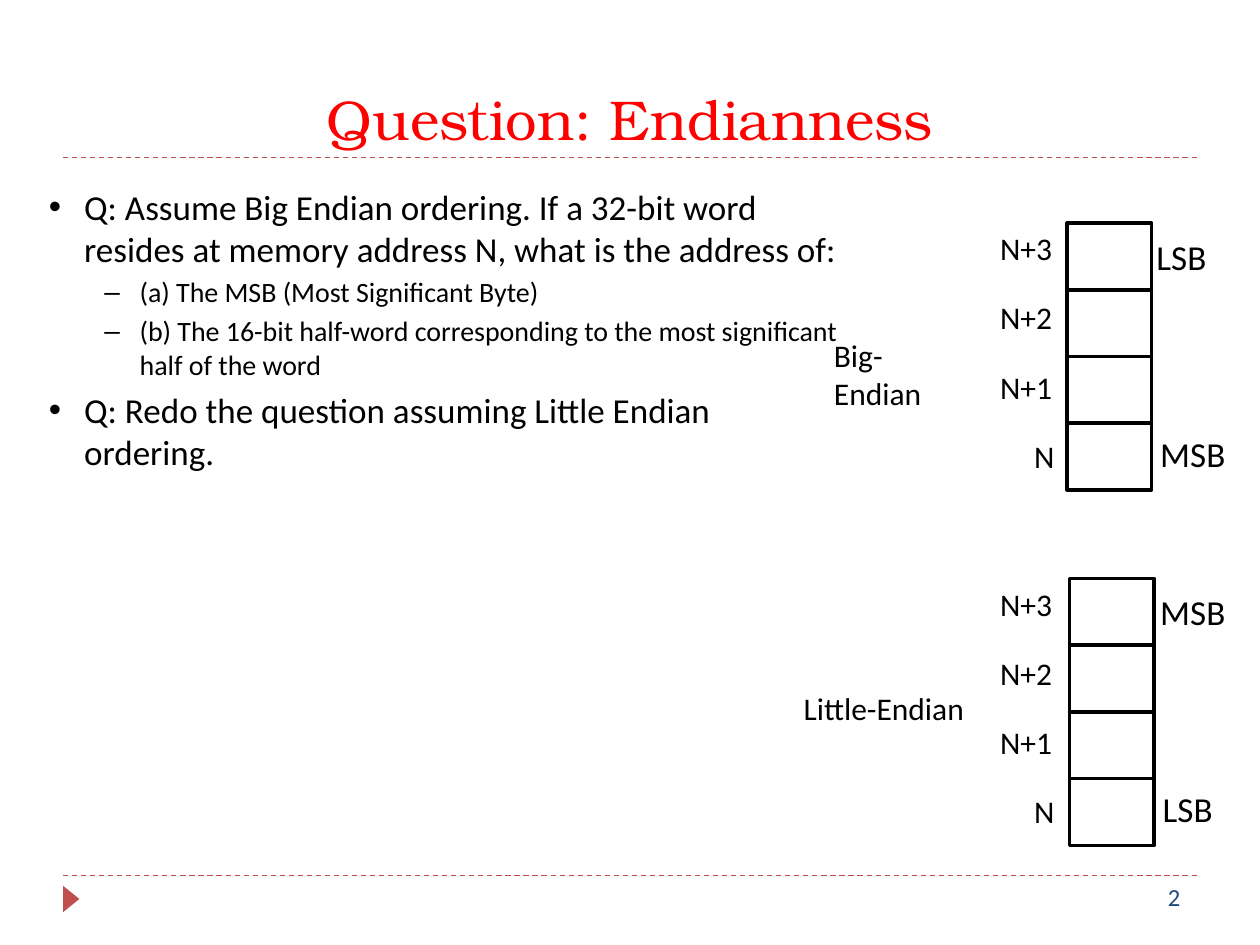
from dataclasses import dataclass

from lxml.etree import SubElement
from pptx import Presentation
from pptx.dml.color import RGBColor
from pptx.enum.dml import MSO_LINE_DASH_STYLE as Dash
from pptx.enum.shapes import MSO_CONNECTOR as Connector, MSO_SHAPE as Shape
from pptx.enum.text import MSO_ANCHOR as Anchor, PP_ALIGN as Align
from pptx.oxml.ns import qn
from pptx.util import Inches, Pt

COLORS = {"title": "FF0000", "text": "000000", "number": "1F497D",
          "accent": "C0504D", "cell": "FFFFFF"}
BODY_FONT, TITLE_FONT = "Calibri", "TeX Gyre Bonum"
CELL_WIDTH, CELL_HEIGHT, LABEL_STEP = 0.67, 0.53, 0.55


@dataclass
class Label:
    text: str
    left: float
    top: float
    width: float
    height: float = 0.4
    size: int = 18
    color: str = "text"
    font: str = BODY_FONT
    wrap: bool = False


@dataclass
class Bullet:
    text: str
    mark: str = "•"
    indent: float = 0.28
    size: int = 20
    level: int = 0


@dataclass
class MemoryWord:
    left: float
    top: float
    name: Label
    byte_labels: list[Label]


BULLETS = [
    Bullet("Q: Assume Big Endian ordering. If a 32-bit word resides at memory "
           "address N, what is the address of:"),
    Bullet("(a) The MSB (Most Significant Byte)", "–", 0.72, 16, 1),
    Bullet("(b) The 16-bit half-word corresponding to the most significant "
           "half of the word", "–", 0.72, 16, 1),
    Bullet("Q: Redo the question assuming Little Endian ordering."),
]
MEMORY_WORDS = [
    MemoryWord(8.47, 1.77, Label("Big-Endian", 6.52, 2.62, 1.2, 0.7, wrap=True),
               [Label("LSB", 9.08, 1.82, 0.79, 0.44, 20),
                Label("MSB", 9.11, 3.38, 0.79, 0.44, 20)]),
    MemoryWord(8.49, 4.59, Label("Little-Endian", 6.28, 5.42, 1.48),
               [Label("MSB", 9.11, 4.64, 0.79, 0.44, 20),
                Label("LSB", 9.13, 6.2, 0.67, 0.44, 20)]),
]


def rgb(name: str) -> RGBColor:
    return RGBColor.from_string(COLORS[name])


def set_font(font, size: int, color: str = "text", name: str = BODY_FONT) -> None:
    for key, value in {"name": name, "size": Pt(size)}.items():
        setattr(font, key, value)
    font.color.rgb = rgb(color)


def add_label(slide, label: Label, align=Align.LEFT, anchor=Anchor.TOP) -> None:
    box = slide.shapes.add_textbox(Inches(label.left), Inches(label.top),
                                   Inches(label.width), Inches(label.height))
    frame = box.text_frame
    for key, value in {"word_wrap": label.wrap, "vertical_anchor": anchor}.items():
        setattr(frame, key, value)
    para = frame.paragraphs[0]
    para.text = label.text
    para.alignment = align
    set_font(para.font, label.size, label.color, label.font)


def add_rule(slide, top: float) -> None:
    rule = slide.shapes.add_connector(Connector.STRAIGHT, Inches(0.5), Inches(top),
                                      Inches(9.5), Inches(top))
    rule.line.color.rgb = rgb("accent")
    rule.line.width = Pt(0.75)
    rule.line.dash_style = Dash.DASH
    SubElement(rule._element.spPr, qn("a:effectLst"))


def add_marker(slide) -> None:
    marker = slide.shapes.add_shape(Shape.ISOSCELES_TRIANGLE, Inches(0.46),
                                    Inches(7.07), Inches(0.21), Inches(0.13))
    marker.rotation = 90
    marker.shadow.inherit = False
    marker.fill.solid()
    marker.fill.fore_color.rgb = rgb("accent")
    marker.line.fill.background()


def add_bullets(slide, bullets: list[Bullet]) -> None:
    box = slide.shapes.add_textbox(Inches(0.29), Inches(1.42), Inches(6.46), Inches(5))
    frame = box.text_frame
    frame.word_wrap = True
    for index, bullet in enumerate(bullets):
        para = frame.add_paragraph() if index else frame.paragraphs[0]
        para.text = bullet.text
        para.level = bullet.level
        para.space_before = Pt(0.2 * bullet.size if index else 0)
        properties = para._p.get_or_add_pPr()
        properties.set("marL", str(Inches(bullet.indent)))
        properties.set("indent", str(Inches(-0.28)))
        SubElement(properties, qn("a:buFont"), typeface="Arial")
        SubElement(properties, qn("a:buChar"), char=bullet.mark)
        set_font(para.font, bullet.size)


def add_memory_word(slide, word: MemoryWord) -> None:
    """Draw four stacked bytes with their addresses, byte names and ordering."""
    group = slide.shapes.add_group_shape()
    for row, address in enumerate(["N+3", "N+2", "N+1", "N"]):
        cell = group.shapes.add_shape(
            Shape.RECTANGLE, Inches(word.left), Inches(word.top + row * CELL_HEIGHT),
            Inches(CELL_WIDTH), Inches(CELL_HEIGHT))
        cell.shadow.inherit = False
        cell.fill.solid()
        cell.fill.fore_color.rgb = rgb("cell")
        cell.line.color.rgb = rgb("text")
        cell.line.width = Pt(2)
        width = 0.4 if address == "N" else 0.67
        add_label(slide, Label(address, 8.51 - width, word.top + row * LABEL_STEP, width))
    for label in [word.name, *word.byte_labels]:
        add_label(slide, label)


def main() -> None:
    deck = Presentation()
    deck.slide_width, deck.slide_height = Inches(10), Inches(7.5)
    slide = deck.slides.add_slide(deck.slide_layouts[6])
    for top in (6.95, 1.25):
        add_rule(slide, top)
    add_label(slide, Label("2", 9.17, 6.95, 0.83, 0.4, 14, "number", wrap=True))
    add_marker(slide)
    add_label(slide, Label("Question: Endianness", 0.5, 0.25, 9, 1, 32, "title",
                           TITLE_FONT, True), Align.CENTER, Anchor.BOTTOM)
    add_bullets(slide, BULLETS)
    for word in MEMORY_WORDS:
        add_memory_word(slide, word)
    deck.save("out.pptx")


if __name__ == "__main__":
    main()
